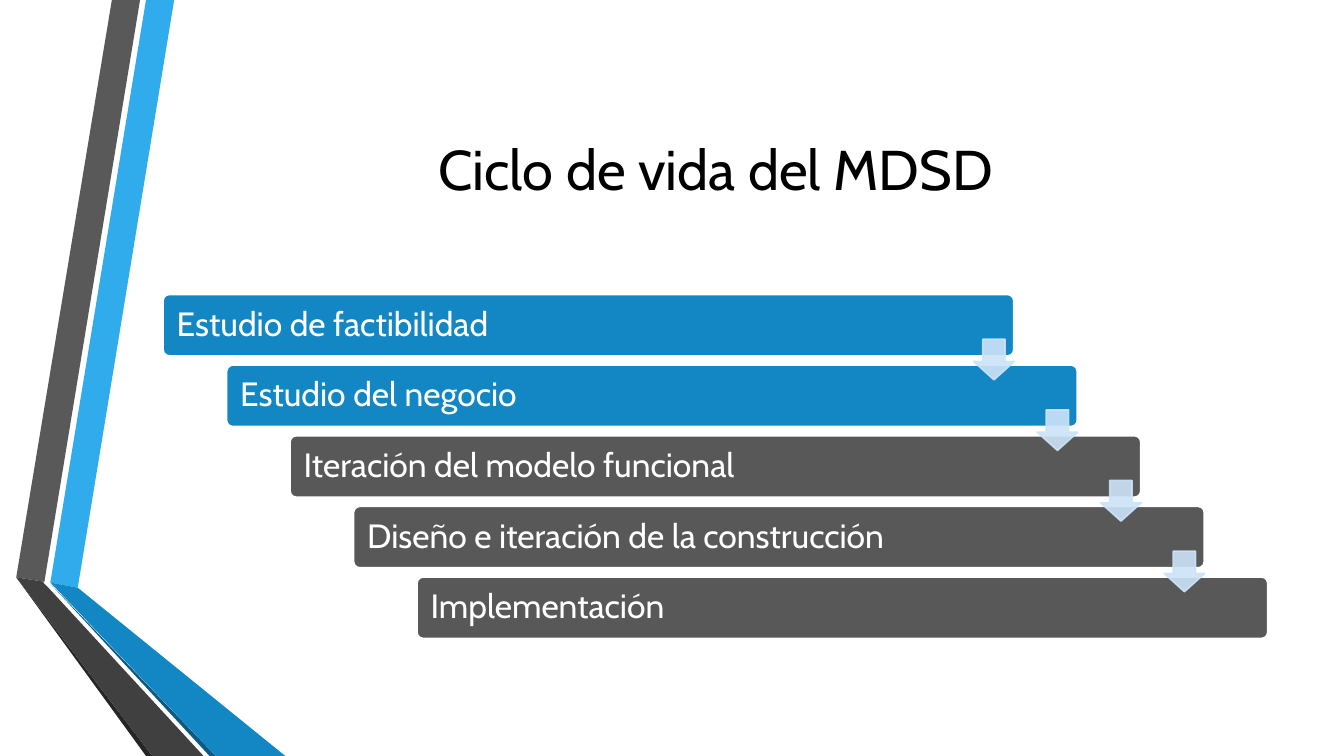
import pptx
import pptx.dml.color
import pptx.enum.shapes
import pptx.enum.text
import pptx.oxml
import pptx.oxml.ns
import pptx.util

Cm = pptx.util.Cm
Pt = pptx.util.Pt
Shape = pptx.enum.shapes.MSO_SHAPE
Align = pptx.enum.text.PP_ALIGN

RIBBONS = [
    ("30ACEC", [(1.27, 14.68), (1.96, 14.81), (4.39, 0), (3.68, 0)]),
    ("595959", [(3.53, 0), (2.82, 0), (0.41, 14.55), (1.12, 14.66)]),
    ("262626", [(0.41, 14.55), (3.68, 19.05), (3.84, 19.05)]),
    ("0C5A82", [(1.27, 14.71), (5.28, 19.05), (5.44, 19.05)]),
    ("1287C3", [(1.27, 14.68), (5.44, 19.05), (7.19, 19.05), (1.96, 14.81)]),
    ("404040", [(5.13, 19.05), (1.22, 14.81), (1.09, 14.68), (1.12, 14.66),
                (0.41, 14.55), (3.84, 19.05)]),
]
PHASES = [
    ("Estudio de factibilidad", "1287C3"),
    ("Estudio del negocio", "1287C3"),
    ("Iteración del modelo funcional", "585858"),
    ("Diseño e iteración de la construcción", "585858"),
    ("Implementación", "585858"),
]
STEP_X, STEP_Y = 1.6, 1.78


def color(value):
    return pptx.dml.color.RGBColor.from_string(value)


def set_alpha(fill_parent, percent):
    for tone in fill_parent.iter(pptx.oxml.ns.qn("a:srgbClr")):
        alpha = pptx.oxml.parse_xml(
            f'<a:alpha {pptx.oxml.ns.nsdecls("a")} val="{percent * 1000}"/>')
        tone.append(alpha)


class SlideBuilder:
    font = "Cabin"

    def __init__(self, page):
        self.page = page

    def put_text(self, box, text, size, tone, align=Align.LEFT, inset=0.25,
                 spacing=0.9, after=0):
        frame = box.text_frame
        frame.word_wrap = True
        frame.vertical_anchor = pptx.enum.text.MSO_ANCHOR.MIDDLE
        frame.margin_left = frame.margin_right = Cm(inset)
        para = frame.paragraphs[0]
        para.alignment = align
        para.line_spacing = spacing
        para.space_after = Pt(after)
        span = para.add_run()
        span.text = text
        span.font.name = self.font
        span.font.size = Pt(size)
        span.font.color.rgb = color(tone)

    def title(self, text, left, top, width, height):
        box = self.page.shapes.add_textbox(Cm(left), Cm(top), Cm(width), Cm(height))
        self.put_text(box, text, 40, "000000", align=Align.CENTER)

    def ribbon(self, fill, points):
        corners = [(Cm(x), Cm(y)) for x, y in points]
        builder = self.page.shapes.build_freeform(*corners[0])
        builder.add_line_segments(corners[1:])
        ribbon = builder.convert_to_shape()
        ribbon.shadow.inherit = False
        ribbon.fill.solid()
        ribbon.fill.fore_color.rgb = color(fill)
        ribbon.line.fill.background()

    def shape(self, kind, left, top, width, height, fill, line, adjustments):
        shape = self.page.shapes.add_shape(
            kind, Cm(left), Cm(top), Cm(width), Cm(height))
        shape.shadow.inherit = False
        for index, value in enumerate(adjustments):
            shape.adjustments[index] = value
        shape.fill.solid()
        shape.fill.fore_color.rgb = color(fill)
        shape.line.color.rgb = color(line)
        shape.line.width = Pt(1.25)
        return shape

    def phase(self, text, left, top, fill):
        bar = self.shape(Shape.ROUNDED_RECTANGLE, left, top, 21.44, 1.55,
                         fill, "FFFFFF", [0.1])
        self.put_text(bar, text, 24, "FFFFFF", inset=0.3, after=8.4)

    def arrow(self, left, top):
        arrow = self.shape(Shape.DOWN_ARROW, left, top, 1.02, 1.02,
                           "CDE3F8", "CDE3F8", [0.55, 0.45])
        set_alpha(arrow.element.spPr, 90)


def main():
    deck = pptx.Presentation()
    deck.slide_width, deck.slide_height = Cm(33.87), Cm(19.05)
    slide = SlideBuilder(deck.slides.add_slide(deck.slide_layouts[6]))
    for fill, points in RIBBONS:
        slide.ribbon(fill, points)
    slide.title("Ciclo de vida del MDSD", 4.11, 1.9, 27.84, 4.88)
    for row, (text, fill) in enumerate(PHASES):
        slide.phase(text, 4.11 + row * STEP_X, 7.42 + row * STEP_Y, fill)
    for row in range(len(PHASES) - 1):
        slide.arrow(24.54 + row * STEP_X, 8.55 + row * STEP_Y)
    deck.save("out.pptx")


if __name__ == "__main__":
    main()
